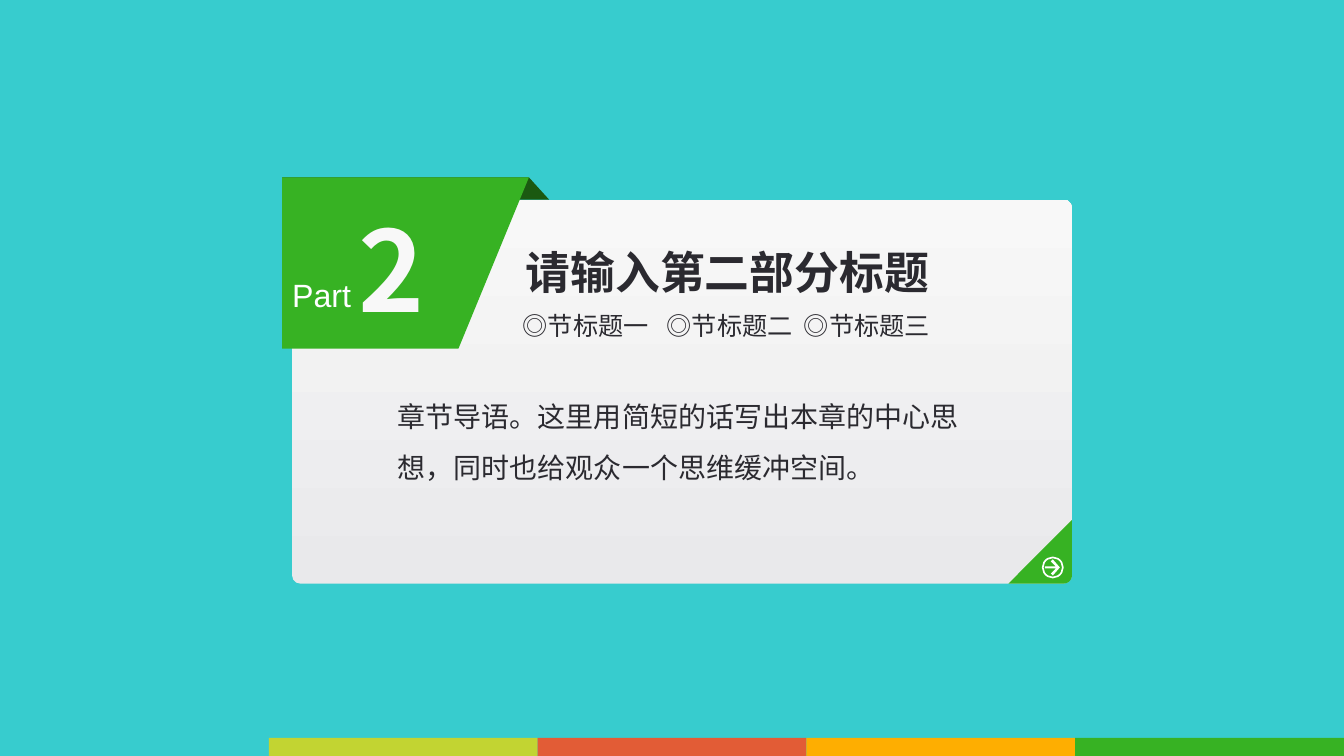
import math

import pptx
import pptx.dml.color
import pptx.enum.shapes
import pptx.oxml
import pptx.oxml.ns
import pptx.util

Inches = pptx.util.Inches
Pt = pptx.util.Pt
PRESET = pptx.enum.shapes.MSO_SHAPE

COLOURS = {
    "sky": "37CCCE", "lime": "C2D432", "coral": "E25C36", "amber": "FEAE01",
    "green": "37B223", "fold": "1B5911", "ink": "2B2A30", "white": "FFFFFF",
    "card top": "F8F8F8", "card bottom": "E9E9EB",
}
CJK = "Noto Sans CJK SC"
LATIN = "Arial"
INSET = 0.1

CARD_LEFT, CARD_TOP, CARD_WIDTH, CARD_HEIGHT = 2.9, 1.98, 7.74, 3.81
CARD_RIGHT, CARD_BOTTOM = CARD_LEFT + CARD_WIDTH, CARD_TOP + CARD_HEIGHT
CORNER_RADIUS = 0.08
CORNER_SIZE = 0.63


def rgb(name):
    return pptx.dml.color.RGBColor.from_string(COLOURS[name])


def paint(shape, colour):
    shape.shadow.inherit = False
    shape.fill.solid()
    shape.fill.fore_color.rgb = rgb(colour)
    shape.line.fill.background()


def add_preset(slide, preset, box, colour):
    shape = slide.shapes.add_shape(preset, *map(Inches, box))
    paint(shape, colour)
    return shape


def add_outline(slide, points, colour):
    """Draw a closed filled polygon through points given in inches."""
    start, *rest = [(Inches(x), Inches(y)) for x, y in points]
    builder = slide.shapes.build_freeform(*start)
    builder.add_line_segments(rest, close=True)
    paint(builder.convert_to_shape(), colour)


def add_text(slide, box, runs, inset=(INSET, 0.05), wrap=True, spacing=None, tabs=(), **style):
    """Add one paragraph; runs are (text, typeface) pairs sharing a style."""
    frame = slide.shapes.add_textbox(*map(Inches, box)).text_frame
    side, end = map(Inches, inset)
    layout = {"margin_left": side, "margin_right": side, "margin_top": end,
              "margin_bottom": end, "word_wrap": wrap}
    for name, value in layout.items():
        setattr(frame, name, value)
    paragraph = frame.paragraphs[0]
    if spacing:
        paragraph.line_spacing = spacing
    if tabs:
        add_tab_stops(paragraph, tabs)
    for text, typeface in runs:
        run = paragraph.add_run()
        run.text = text
        set_font(run, typeface, **style)


def add_tab_stops(paragraph, positions):
    qn = pptx.oxml.ns.qn
    tab_list = pptx.oxml.parse_xml(f"<a:tabLst {pptx.oxml.ns.nsdecls('a')}/>")
    for position in positions:
        tab = tab_list.makeelement(qn("a:tab"), {"pos": str(Inches(position)), "algn": "l"})
        tab_list.append(tab)
    paragraph._p.get_or_add_pPr().append(tab_list)


def set_font(run, typeface, size, colour="ink", bold=False):
    for name, value in {"name": typeface, "size": Pt(size), "bold": bold}.items():
        setattr(run.font, name, value)
    run.font.color.rgb = rgb(colour)
    east_asian = pptx.oxml.parse_xml(
        f'<a:ea {pptx.oxml.ns.nsdecls("a")} typeface="{typeface}"/>')
    run.font._element.find(pptx.oxml.ns.qn("a:latin")).addnext(east_asian)


def add_card(slide):
    card = add_preset(slide, PRESET.ROUNDED_RECTANGLE,
                      (CARD_LEFT, CARD_TOP, CARD_WIDTH, CARD_HEIGHT), "card top")
    card.adjustments[0] = CORNER_RADIUS / CARD_HEIGHT
    card.fill.gradient()
    card.fill.gradient_angle = 90
    for stop, colour in zip(card.fill.gradient_stops, ("card bottom", "card top")):
        stop.color.rgb = rgb(colour)


def add_ribbon(slide):
    left, top, right = 2.8, 1.76, 5.25
    add_outline(slide, [(3, CARD_TOP), (5.45, CARD_TOP), (right, top), (left, top)], "fold")
    add_outline(slide, [(right, top), (left, top), (left, 3.46), (4.55, 3.46)], "green")


def add_next_corner(slide):
    """Green corner that follows the card's rounding, with a ringed arrow."""
    centre_x, centre_y = CARD_RIGHT - CORNER_RADIUS, CARD_BOTTOM - CORNER_RADIUS
    arc = [(centre_x + CORNER_RADIUS * math.cos(math.radians(angle)),
            centre_y + CORNER_RADIUS * math.sin(math.radians(angle)))
           for angle in range(0, 91, 10)]
    add_outline(slide, [(CARD_RIGHT, CARD_BOTTOM - CORNER_SIZE), *arc,
                        (CARD_RIGHT - CORNER_SIZE, CARD_BOTTOM)], "green")

    ring = add_preset(slide, PRESET.OVAL, (10.35, 5.53, 0.2, 0.2), "white")
    ring.fill.background()
    ring.line.color.rgb = rgb("white")
    ring.line.width = Pt(1.2)

    tip_x, middle = 10.52, 5.63
    upper = [(10.45, 0.08), (10.43, 0.06), (10.48, 0.01), (10.37, 0.01)]
    arrow = [(tip_x, middle)] + [(x, middle - rise) for x, rise in upper]
    arrow += [(x, middle + rise) for x, rise in reversed(upper)]
    add_outline(slide, arrow, "white")


def add_colour_strip(slide, slide_width):
    bands = ("sky", "lime", "coral", "amber", "green")
    width = slide_width / len(bands)
    for index, colour in enumerate(bands):
        add_preset(slide, PRESET.RECTANGLE, (index * width, 7.32, width, 0.18), colour)


def main():
    deck = pptx.Presentation()
    slide_width = 13.34
    deck.slide_width, deck.slide_height = Inches(slide_width), Inches(7.5)
    slide = deck.slides.add_slide(deck.slide_layouts[6])
    slide.background.fill.solid()
    slide.background.fill.fore_color.rgb = rgb("sky")

    add_card(slide)
    add_ribbon(slide)
    add_next_corner(slide)

    add_text(slide, (3.46, 1.94, 0.76, 1.45), [("2", CJK)],
             size=80, colour="card top", bold=True)
    add_text(slide, (5.12, 2.38, 4.42, 0.64), [("请输入第二部分标题", CJK)], size=32, bold=True)
    add_text(slide, (2.9, 2.73, 0.73, 0.45), [("Part", LATIN)],
             inset=(0, 0), wrap=False, size=23, colour="white")
    add_text(slide, (3.85, 3.75, 5.82, 1.11),
             [("章节导语。这里用简短的话写出本章的中心思想，同时也给观众一个思维缓冲空间。", CJK)],
             spacing=1.5, size=20)
    sections = [("◎节", LATIN), ("标题一\t", CJK), ("◎节", LATIN), ("标题二\t", CJK),
                ("◎节", LATIN), ("标题三", CJK)]
    add_text(slide, (5.09, 3.03, 4.68, 0.4), sections, tabs=(1.43, 2.79), size=18)

    add_colour_strip(slide, slide_width)
    deck.save("out.pptx")


if __name__ == "__main__":
    main()
